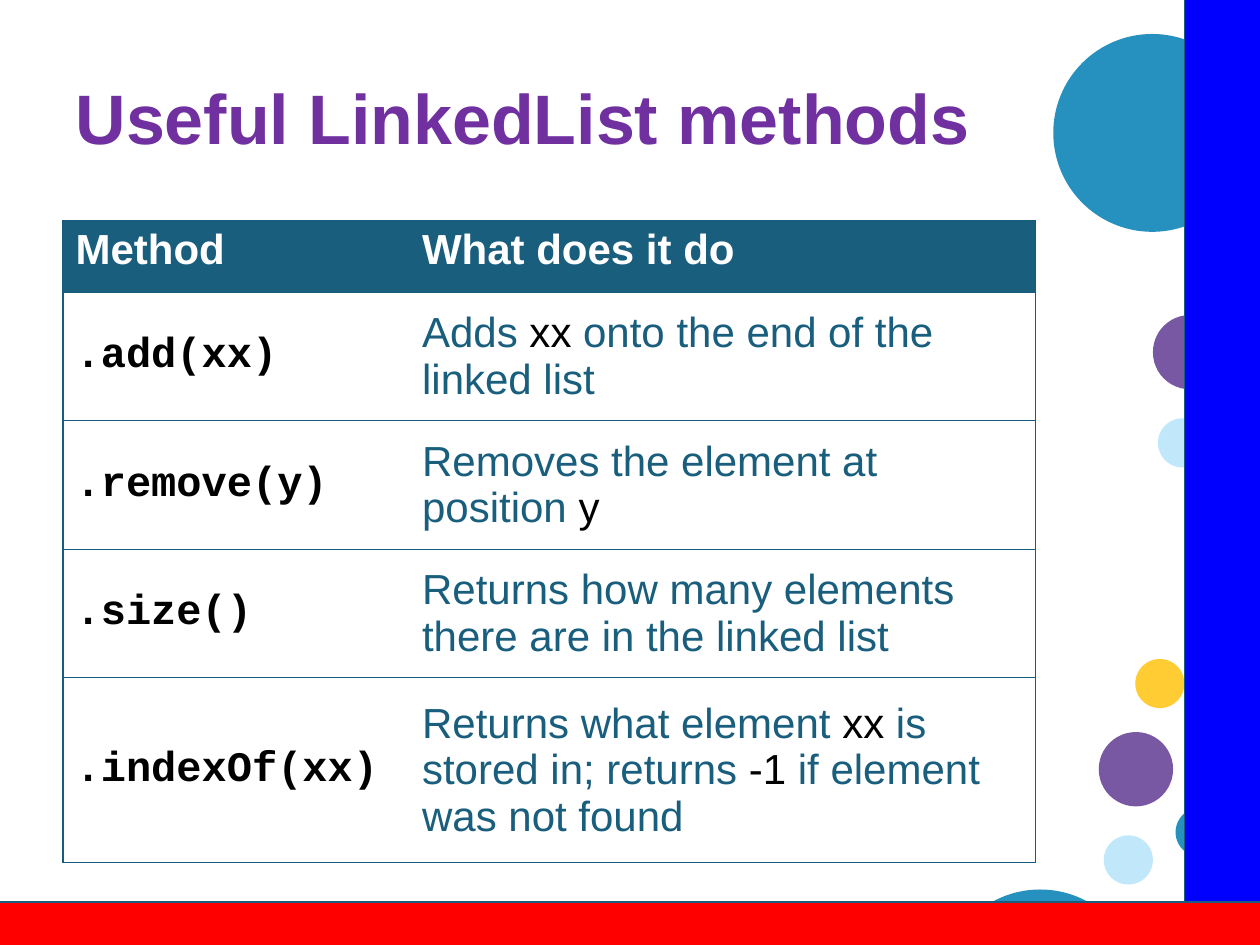
from lxml import etree
from pptx import Presentation
from pptx.dml.color import RGBColor
from pptx.enum.shapes import MSO_SHAPE
from pptx.enum.text import MSO_ANCHOR, PP_ALIGN
from pptx.oxml.ns import qn
from pptx.util import Inches, Pt

OVAL, RECT = MSO_SHAPE.OVAL, MSO_SHAPE.RECTANGLE
TOP, MIDDLE = MSO_ANCHOR.TOP, MSO_ANCHOR.MIDDLE
LEFT = PP_ALIGN.LEFT

COLORS = {
    "title": "7030A0", "teal": "195E7D", "edge": "165D7D",
    "black": "000000", "white": "FFFFFF", "blue": "0000FF", "red": "FF0000",
    "sea": "2691BF", "plum": "7958A3", "sky": "C0E7FA", "gold": "FFCC33",
}
SMALL, MEDIUM, LARGE = 0.39, 0.59, 1.57
DOTS = [
    (9.01, 5.23, SMALL, "gold"), (8.72, 5.81, MEDIUM, "plum"),
    (8.76, 6.63, SMALL, "sky"), (9.33, 6.41, SMALL, "sea"),
    (8.36, 0.27, LARGE, "sea"), (9.15, 2.5, MEDIUM, "plum"),
    (9.19, 3.32, SMALL, "sky"), (7.47, 7.06, LARGE, "sea"),
]
BARS = [(9.4, -0.12, 0.85, 8.15, "blue"), (-0.2, 7.16, 11.07, 0.61, "red")]

HEADS = ["Method", "What does it do"]
# Each description alternates plain words and highlighted arguments.
METHODS = [
    (".add(xx)", ["Adds ", "xx ", "onto the end of the linked list"]),
    (".remove(y)", ["Removes the element at position ", "y"]),
    (".size()", ["Returns how many elements there are in the linked list"]),
    (".indexOf(xx)", ["Returns what element ", "xx ",
                      "is stored in; returns ", "-1",
                      " if element was not found"]),
]
COLS = [2.75, 4.97]
ROWS = [0.57, 1.02, 1.02, 1.02, 1.47]


def rgb(name):
    return RGBColor.from_string(COLORS[name])


class Deck:
    font, mono = "Arial", "Courier New"
    size, line = 24, 0.75

    def __init__(self):
        self.prs = Presentation()
        self.prs.slide_width, self.prs.slide_height = Inches(10), Inches(7.5)
        self.slide = self.prs.slides.add_slide(self.prs.slide_layouts[5])

    def run(self, par, text, color, bold=False, font=None, size=None):
        run = par.add_run()
        run.text = text
        run.font.name = font or self.font
        run.font.size = Pt(size or self.size)
        run.font.bold = bold
        run.font.color.rgb = rgb(color)

    def title(self, text, box):
        shape = self.slide.shapes.title
        shape.left, shape.top, shape.width, shape.height = map(Inches, box)
        shape.text_frame.vertical_anchor = MIDDLE
        par = shape.text_frame.paragraphs[0]
        par.alignment = LEFT
        self.run(par, text, "title", bold=True, size=40)

    def shape(self, kind, box, fill, line=None):
        shape = self.slide.shapes.add_shape(kind, *map(Inches, box))
        shape.shadow.inherit = False
        shape.fill.solid()
        shape.fill.fore_color.rgb = rgb(fill)
        if line:
            shape.line.color.rgb = rgb(line)
            shape.line.width = Pt(self.line)
        else:
            shape.line.fill.background()

    def border(self, cell, shown):
        """Draw the sides named in shown and clear the others."""
        props = cell._tc.get_or_add_tcPr()
        for side in "LRTB":
            line = etree.SubElement(props, qn(f"a:ln{side}"),
                                    w=str(Pt(self.line)))
            if side in shown:
                fill = etree.SubElement(line, qn("a:solidFill"))
                etree.SubElement(fill, qn("a:srgbClr"), val=COLORS["edge"])
            else:
                etree.SubElement(line, qn("a:noFill"))

    def cell(self, cell, runs, sides, fill=None, anchor=MIDDLE):
        """Fill a cell with runs given as (text, color, bold, font)."""
        self.border(cell, sides)
        if fill:
            cell.fill.solid()
            cell.fill.fore_color.rgb = rgb(fill)
        else:
            cell.fill.background()
        cell.vertical_anchor = anchor
        for run in runs:
            self.run(cell.text_frame.paragraphs[0], *run)

    def table(self, left, top):
        box = (left, top, sum(COLS), sum(ROWS))
        table = self.slide.shapes.add_table(
            len(ROWS), len(COLS), *map(Inches, box)).table
        table.horz_banding = False
        for col, width in zip(table.columns, COLS):
            col.width = Inches(width)
        for row, height in zip(table.rows, ROWS):
            row.height = Inches(height)
        sides = ["LTB", "RTB"]
        for col, head in enumerate(HEADS):
            self.cell(table.cell(0, col), [(head, "white", True)],
                      sides[col], "teal", TOP)
        for row, (name, parts) in enumerate(METHODS, 1):
            self.cell(table.cell(row, 0),
                      [(name, "black", True, self.mono)], sides[0])
            runs = [(part, "black" if i % 2 else "teal")
                    for i, part in enumerate(parts)]
            self.cell(table.cell(row, 1), runs, sides[1])


def main():
    deck = Deck()
    for left, top, size, fill in DOTS:
        deck.shape(OVAL, (left, top, size, size), fill)
    for *box, fill in BARS:
        deck.shape(RECT, box, fill, "teal")
    deck.title("Useful LinkedList methods", (0.5, 0.3, 7.91, 1.25))
    deck.table(0.5, 1.75)
    deck.prs.save("out.pptx")


if __name__ == "__main__":
    main()
